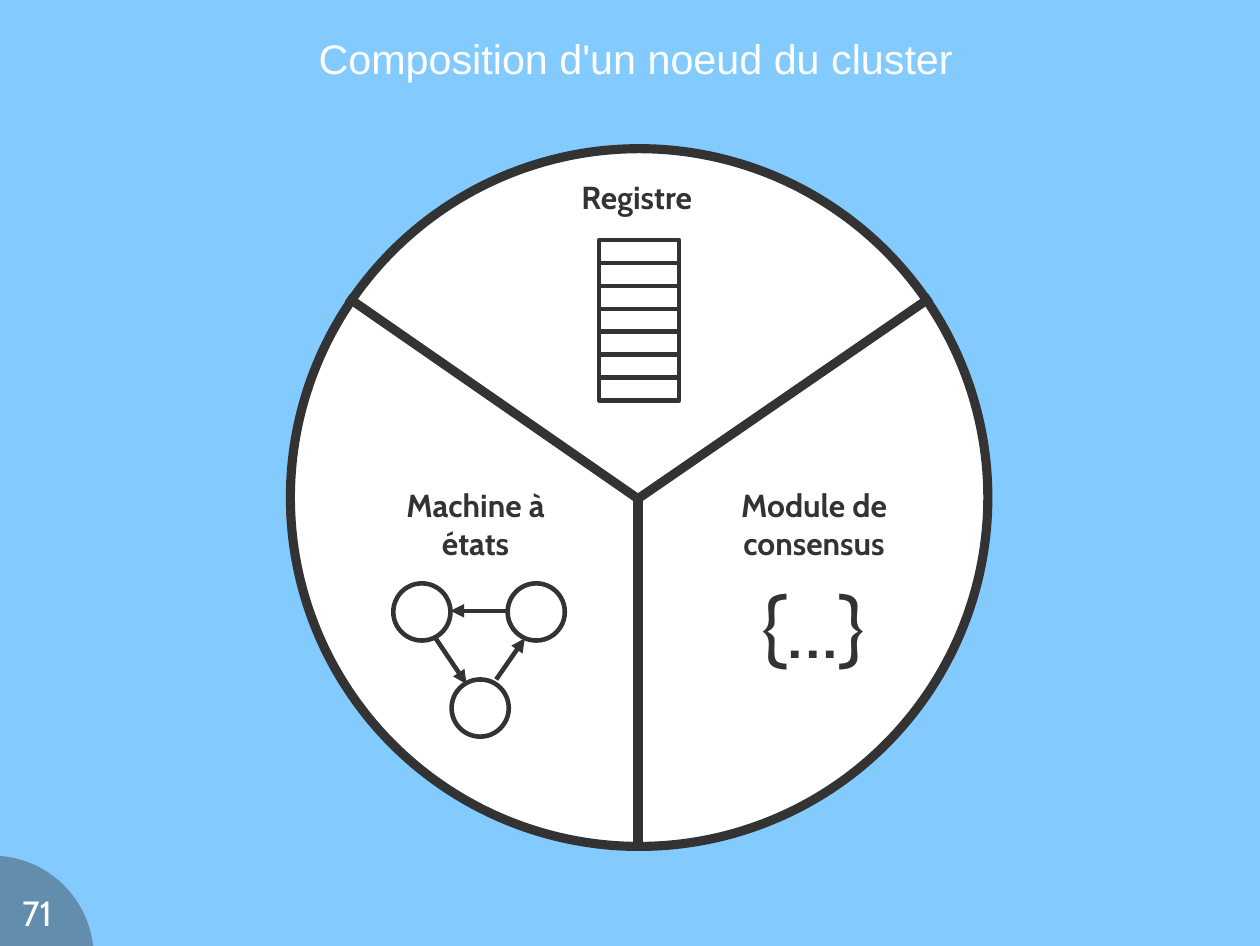
"""Build the slide showing the three parts of a cluster node."""
import pptx
import pptx.util
from lxml import etree
from pptx.dml.color import RGBColor
from pptx.enum.shapes import MSO_CONNECTOR, MSO_SHAPE
from pptx.enum.text import MSO_ANCHOR, PP_ALIGN
from pptx.oxml.ns import qn
from pptx.util import Inches, Pt

THEME = {
    "sky": RGBColor.from_string("83CAFF"),
    "ink": RGBColor.from_string("333333"),
    "white": RGBColor.from_string("FFFFFF"),
    "body_font": "Cabin",
    "title_font": "Arial",
    "title": 26,
    "label": 20,
    "braces": 54,
    "number": 22,
    "thick": 5.75,
    "thin": 2.89,
}


def outline(sp, width, arrow=False):
    """Give a shape or connector an ink line without shadow."""
    sp.line.color.rgb = THEME["ink"]
    sp.line.width = Pt(width)
    if arrow:
        etree.SubElement(sp.line._get_or_add_ln(), qn("a:tailEnd"), type="triangle")
    etree.SubElement(sp._element.spPr, qn("a:effectLst"))


def add_text(box, text, size, color, font=THEME["body_font"], bold=False,
             insets=(0.1, 0.05), anchor=MSO_ANCHOR.TOP):
    """Add a centred text box."""
    tf = s.shapes.add_textbox(*[Inches(v) for v in box]).text_frame
    tf.word_wrap = True
    tf.vertical_anchor = anchor
    tf.margin_left = tf.margin_right = Inches(insets[0])
    tf.margin_top = tf.margin_bottom = Inches(insets[1])
    p = tf.paragraphs[0]
    p.text = text
    p.alignment = PP_ALIGN.CENTER
    r = p.runs[0]
    r.font.name = font
    r.font.size = Pt(size)
    r.font.bold = bold
    r.font.color.rgb = color


prs = pptx.Presentation()
prs.slide_width = Inches(11.02)
prs.slide_height = Inches(8.27)
s = prs.slides.add_slide(prs.slide_layouts[6])
s.background.fill.solid()
s.background.fill.fore_color.rgb = THEME["sky"]

corner = s.shapes.add_shape(MSO_SHAPE.OVAL, Inches(-0.96), Inches(7.48), Inches(1.78), Inches(1.78))
corner.shadow.inherit = False
corner.line.fill.background()
corner.fill.solid()
corner.fill.fore_color.rgb = THEME["ink"]
corner_color = corner._element.spPr.find(qn("a:solidFill"))[0]
etree.SubElement(corner_color, qn("a:alpha"), val="40000")

node = s.shapes.add_shape(MSO_SHAPE.OVAL, Inches(2.54), Inches(1.3), Inches(6.1), Inches(6.1))
node.fill.solid()
node.fill.fore_color.rgb = THEME["white"]
outline(node, THEME["thick"])

machine = s.shapes.add_group_shape()
for left, top in [(3.44, 5.1), (4.44, 5.1), (3.95, 5.94)]:
    state = machine.shapes.add_shape(MSO_SHAPE.OVAL, Inches(left), Inches(top), Inches(0.5), Inches(0.5))
    state.fill.background()
    outline(state, THEME["thin"])
for ends in [(4.34, 5.94, 4.59, 5.58), (4.44, 5.34, 3.94, 5.34), (3.81, 5.58, 4.08, 5.98)]:
    transition = machine.shapes.add_connector(MSO_CONNECTOR.STRAIGHT, *[Inches(v) for v in ends])
    outline(transition, THEME["thin"], arrow=True)

register = s.shapes.add_group_shape()
for i in range(4):
    frame = register.shapes.add_shape(
        MSO_SHAPE.RECTANGLE, Inches(5.24), Inches(2.1 + 0.2 * i), Inches(0.7), Inches(0.8))
    frame.fill.background()
    outline(frame, THEME["thin"])

add_text((6.34, 4.96, 1.54, 1.12), "{...}", THEME["braces"], THEME["ink"])
for box, label in [
    ((4.89, 1.5, 1.36, 0.48), "Registre"),
    ((6.24, 4.2, 1.76, 0.86), "Module de consensus"),
    ((3.28, 4.2, 1.76, 0.86), "Machine à états"),
]:
    add_text(box, label, THEME["label"], THEME["ink"], bold=True)

for x, y in [(5.58, 7.4), (8.14, 2.6), (3.04, 2.6)]:
    divider = s.shapes.add_connector(
        MSO_CONNECTOR.STRAIGHT, Inches(5.58), Inches(4.36), Inches(x), Inches(y))
    outline(divider, THEME["thick"])

add_text((0.33, 0.02, 10.47, 0.98), "Composition d'un noeud du cluster", THEME["title"], THEME["white"],
         font=THEME["title_font"], insets=(0, 0), anchor=MSO_ANCHOR.MIDDLE)
add_text((0.09, 7.79, 0.47, 0.39), "71", THEME["number"], THEME["white"], insets=(0, 0))

prs.save("out.pptx")
